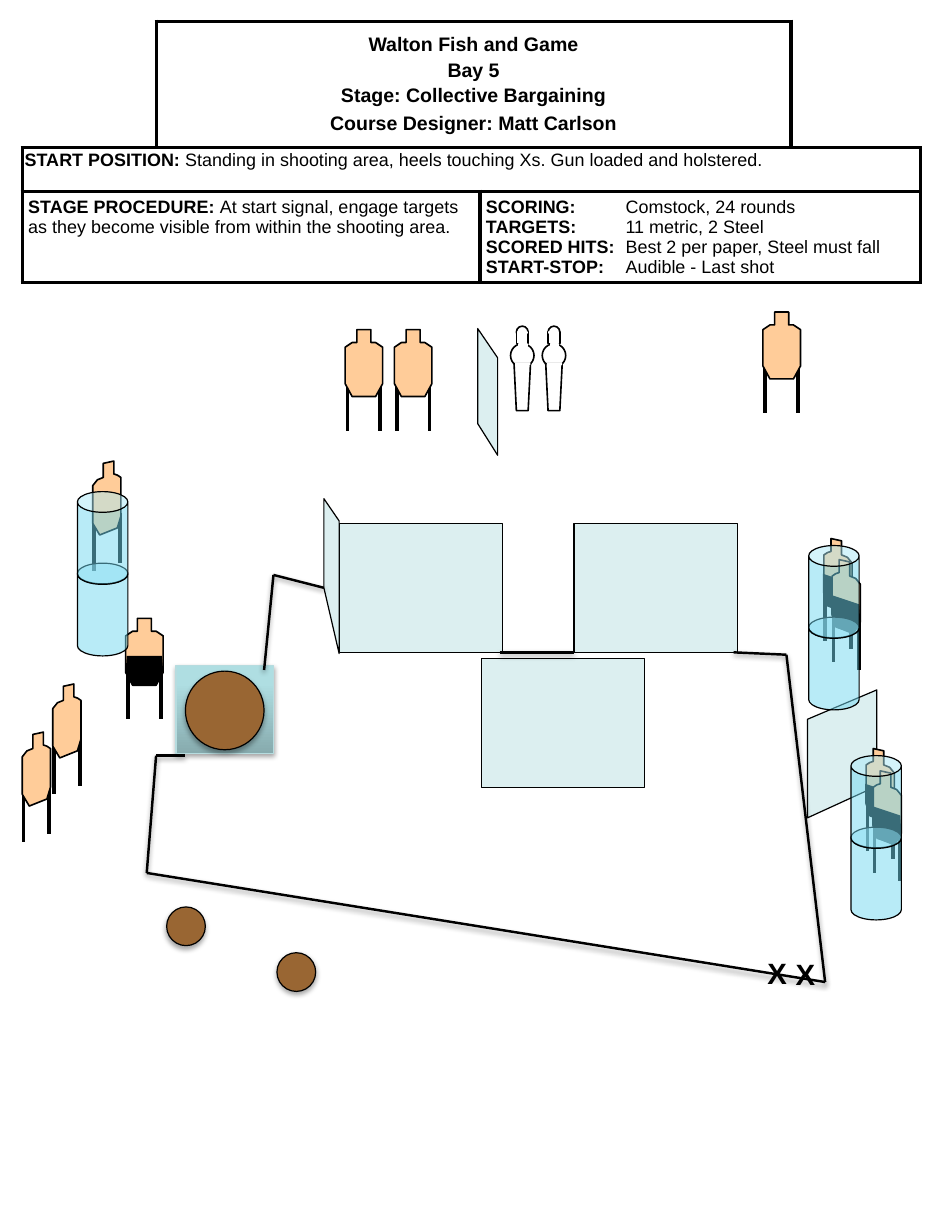
from lxml.etree import SubElement
from pptx import Presentation
from pptx.dml.color import RGBColor
from pptx.enum.shapes import MSO_CONNECTOR as LINK, MSO_SHAPE as SHAPE
from pptx.enum.text import MSO_ANCHOR as ANCHOR, MSO_AUTO_SIZE as FIT, PP_ALIGN as ALIGN
from pptx.oxml.ns import qn
from pptx.util import Inches, Pt

COLORS = {"ink": "000000", "paper": "FFFFFF", "target": "FFCC99", "wall": "BBE0E3",
          "can": "73D9F1", "barrel": "996633", "base_dark": "87ABAE",
          "base_light": "AFDEE2", "base_edge": "B6DCDF"}
RGB = {name: RGBColor.from_string(value) for name, value in COLORS.items()}

prs = Presentation()
prs.slide_width, prs.slide_height = Inches(8), Inches(10.5)
slide = prs.slides.add_slide(prs.slide_layouts[6])
shapes = slide.shapes


def style(part, fill=None, line="ink", width=0.75, opacity=100, shadow=0):
    """Set fill, outline and shadow; fill stays untouched for connectors."""
    if fill:
        part.fill.solid()
        part.fill.fore_color.rgb = RGB[fill]
        if opacity < 100:
            color = part._element.spPr.find(f"{qn('a:solidFill')}/{qn('a:srgbClr')}")
            SubElement(color, qn("a:alpha"), val=str(opacity * 1000))
    if line:
        part.line.color.rgb = RGB[line]
        part.line.width = Pt(width)
    else:
        part.line.fill.background()
    effects = SubElement(part._element.spPr, qn("a:effectLst"))
    if shadow:
        outer = SubElement(effects, qn("a:outerShdw"), blurRad=str(Pt(3.1)),
                           dist=str(Pt(1.7)), dir="5400000", rotWithShape="0")
        black = SubElement(outer, qn("a:srgbClr"), val=COLORS["ink"])
        SubElement(black, qn("a:alpha"), val=str(shadow * 1000))


def polygon(points, **look):
    corners = [(Inches(x), Inches(y)) for x, y in points]
    builder = shapes.build_freeform(*corners[0], scale=1)
    builder.add_line_segments(corners[1:], close=True)
    style(builder.convert_to_shape(), **look)


# Stage description table
table_frame = shapes.add_table(3, 4, Inches(0.19), Inches(0.18), Inches(7.65), Inches(2.08))
table = table_frame.table
table.first_row = table.horz_banding = False
for column, width in zip(table.columns, (1.14, 2.76, 2.65, 1.1)):
    column.width = Inches(width)
for row, height in zip(table.rows, (1.08, 0.37, 0.63)):
    row.height = Inches(height)
for r, first, last in ((0, 1, 2), (1, 0, 3), (2, 0, 1), (2, 2, 3)):
    table.cell(r, first).merge(table.cell(r, last))

open_sides = {(0, 0): ("lnL", "lnT"), (0, 3): ("lnR", "lnT")}
for r in range(3):
    for c in range(4):
        cell = table.cell(r, c)
        cell_props = cell._tc.get_or_add_tcPr()
        for side in ("lnL", "lnR", "lnT", "lnB"):
            border = SubElement(cell_props, qn(f"a:{side}"), w=str(Pt(2.25)))
            if side in open_sides.get((r, c), ()):
                SubElement(border, qn("a:noFill"))
            else:
                ink = SubElement(border, qn("a:solidFill"))
                SubElement(ink, qn("a:srgbClr"), val=COLORS["ink"])
        cell.fill.solid()
        cell.fill.fore_color.rgb = RGB["paper"]

# Each paragraph is a bold part and a plain part
even = dict.fromkeys(("margin_left", "margin_right", "margin_top", "margin_bottom"), Inches(0.05))
tight = dict(margin_left=Inches(0.02), margin_right=Inches(0.02),
             margin_top=Inches(0.04), margin_bottom=Inches(0.04))
contents = [
    (0, 1, 12, {**even, "vertical_anchor": ANCHOR.MIDDLE}, [
        ("Walton Fish and Game", "", {"alignment": ALIGN.CENTER}),
        ("Bay 5", "", {"alignment": ALIGN.CENTER, "space_before": Pt(2)}),
        ("Stage: Collective Bargaining", "", {"alignment": ALIGN.CENTER, "space_before": Pt(2)}),
        ("Course Designer: Matt Carlson", "", {"alignment": ALIGN.CENTER, "space_before": Pt(4)})]),
    (1, 0, 11, tight, [
        ("START POSITION:", " Standing in shooting area, heels touching Xs. "
         "Gun loaded and holstered.", {"line_spacing": 0.9})]),
    (2, 0, 11, even, [
        ("STAGE PROCEDURE: ", "At start signal, engage targets as they become visible "
         "from within the shooting area.", {})]),
    (2, 2, 11, even, [
        ("SCORING:", "\tComstock, 24 rounds", {}),
        ("TARGETS:", "\t11 metric, 2 Steel", {}),
        ("SCORED HITS:", "\tBest 2 per paper, Steel must fall", {}),
        ("START-STOP:", "\tAudible - Last shot", {})]),
]
for r, c, size, cell_format, lines in contents:
    cell = table.cell(r, c)
    for name, value in cell_format.items():
        setattr(cell, name, value)
    for i, (label, detail, line_format) in enumerate(lines):
        paragraph = cell.text_frame.add_paragraph() if i else cell.text_frame.paragraphs[0]
        for name, value in line_format.items():
            setattr(paragraph, name, value)
        if detail.startswith("\t"):
            tabs = SubElement(paragraph._p.get_or_add_pPr(), qn("a:tabLst"))
            SubElement(tabs, qn("a:tab"), pos=str(Inches(1.19)), algn="l")
        for words, bold in ((label, True), (detail, False)):
            if words:
                run = paragraph.add_run()
                run.text = words
                font_format = dict(name="Arial", size=Pt(size), bold=bold)
                for name, value in font_format.items():
                    setattr(run.font, name, value)
                run.font.color.rgb = RGB["ink"]

# Walls: three facing, three seen at an angle
walls = [[(x, y), (x + 1.39, y), (x + 1.39, y + 1.1), (x, y + 1.1)]
         for x, y in ((2.89, 4.46), (4.89, 4.46), (4.1, 5.61))]
walls += [[(6.88, 6.97), (6.88, 6.13), (7.47, 5.88), (7.47, 6.7)],
          [(4.24, 3.88), (4.24, 3.05), (4.07, 2.8), (4.07, 3.61)],
          [(2.76, 5.01), (2.89, 5.57), (2.89, 4.44), (2.76, 4.25)]]
for wall in walls:
    polygon(wall, fill="wall", opacity=50)

# Paper targets: outline, hard cover and legs (x, top, bottom) from the top left
upright = dict(
    outline=[(0.1, 0), (0.22, 0), (0.22, 0.11), (0.26, 0.11), (0.32, 0.15), (0.32, 0.46),
             (0.26, 0.57), (0.06, 0.57), (0, 0.46), (0, 0.15), (0.06, 0.11), (0.1, 0.11)],
    cover=[(0.01, 0.32), (0.31, 0.32), (0.32, 0.45), (0.26, 0.57), (0.06, 0.57), (0, 0.46)],
    legs=[(0.02, 0.42, 0.86), (0.3, 0.42, 0.86)])
angled = dict(
    outline=[(0.09, 0.02), (0.18, 0), (0.18, 0.11), (0.21, 0.12), (0.24, 0.14), (0.24, 0.47),
             (0.21, 0.57), (0.06, 0.63), (0, 0.53), (0, 0.21), (0.04, 0.16), (0.09, 0.14)],
    cover=[],
    legs=[(0.01, 0.5, 0.94), (0.23, 0.44, 0.87)])
mirrored = dict(
    outline=[(0.25 - x, y) for x, y in angled["outline"]],
    cover=[(0.25, 0.54), (0.19, 0.63), (0.04, 0.58), (0, 0.46), (0, 0.3), (0.24, 0.38)],
    legs=[(0.25 - x, top, bottom) for x, top, bottom in angled["legs"]])
targets = [(mirrored, True, 7.01, 4.59), (mirrored, True, 7.08, 4.77),
           (mirrored, True, 7.37, 6.38), (mirrored, True, 7.43, 6.57),
           (angled, False, 0.79, 3.93), (angled, False, 0.45, 5.83), (angled, False, 0.19, 6.24),
           (upright, False, 6.5, 2.66), (upright, True, 1.07, 5.27),
           (upright, False, 2.94, 2.81), (upright, False, 3.36, 2.81)]
for kind, covered, left, top in targets:
    for x, start, end in kind["legs"]:
        leg = shapes.add_connector(LINK.STRAIGHT, Inches(left + x), Inches(top + start),
                                   Inches(left + x), Inches(top + end))
        style(leg, width=2.25)
    polygon([(left + x, top + y) for x, y in kind["outline"]], fill="target", width=1)
    if covered:
        polygon([(left + x, top + y) for x, y in kind["cover"]], fill="ink", line=None)

# Stacked see-through cans
for left, top in ((6.89, 4.65), (7.25, 6.44), (0.66, 4.19)):
    for y in (top + 0.61, top):
        can = shapes.add_shape(SHAPE.CAN, Inches(left), Inches(y), Inches(0.43), Inches(0.79))
        can.adjustments[0] = 0.41
        style(can, fill="can", opacity=50)

# Steel poppers
for left in (4.35, 4.62):
    for x, y, size in ((0.05, 2.78, 0.1), (0, 2.93, 0.2)):
        disc = shapes.add_shape(SHAPE.OVAL, Inches(left + x), Inches(y), Inches(size), Inches(size))
        style(disc, fill="paper", width=1)
    polygon([(left + 0.03, 3.1), (left + 0.17, 3.1), (left + 0.15, 3.5), (left + 0.05, 3.5)],
            fill="paper", width=1)
    for x, y, width, height, edge in ((0.05, 2.83, 0.1, 0.1, "ink"), (0.04, 3.09, 0.13, 0.02, None),
                                      (0.07, 2.93, 0.07, 0.02, "paper"),
                                      (0.06, 2.83, 0.08, 0.01, "paper")):
        neck = shapes.add_shape(SHAPE.RECTANGLE, Inches(left + x), Inches(y),
                                Inches(width), Inches(height))
        style(neck, fill="paper", line=edge, width=1)

# Barrels, one of them on a base
base = shapes.add_shape(SHAPE.RECTANGLE, Inches(1.5), Inches(5.67), Inches(0.83), Inches(0.75))
base.fill.gradient()
base.fill.gradient_angle = 90
for stop, color, position in zip(base.fill.gradient_stops, ("base_dark", "base_light"), (0, 0.8)):
    stop.color.rgb = RGB[color]
    stop.position = position
style(base, line="base_edge", shadow=35)
for left, top, size in ((1.58, 5.72, 0.67), (1.42, 7.73, 0.33), (2.36, 8.12, 0.33)):
    barrel = shapes.add_shape(SHAPE.OVAL, Inches(left), Inches(top), Inches(size), Inches(size))
    style(barrel, fill="barrel", shadow=35)

# Shooting area boundary
boundary = [[(2.25, 5.71), (2.33, 4.9), (2.76, 5.01)],
            [(4.26, 5.56), (4.89, 5.56)],
            [(6.25, 5.56), (6.7, 5.58), (7.03, 8.37), (1.25, 7.44), (1.33, 6.44), (1.58, 6.44)]]
for run_of_points in boundary:
    for (x1, y1), (x2, y2) in zip(run_of_points, run_of_points[1:]):
        edge = shapes.add_connector(LINK.STRAIGHT, Inches(x1), Inches(y1), Inches(x2), Inches(y2))
        style(edge, width=1.5, shadow=38)

# Start marks
for left, top in ((6.44, 8.09), (6.68, 8.1)):
    mark = shapes.add_textbox(Inches(left), Inches(top), Inches(0.33), Inches(0.4)).text_frame
    mark.word_wrap, mark.auto_size = False, FIT.SHAPE_TO_FIT_TEXT
    heel = mark.paragraphs[0].add_run()
    heel.text = "X"
    for name, value in dict(name="Arial", size=Pt(18), bold=True).items():
        setattr(heel.font, name, value)
    heel.font.color.rgb = RGB["ink"]

prs.save("out.pptx")
